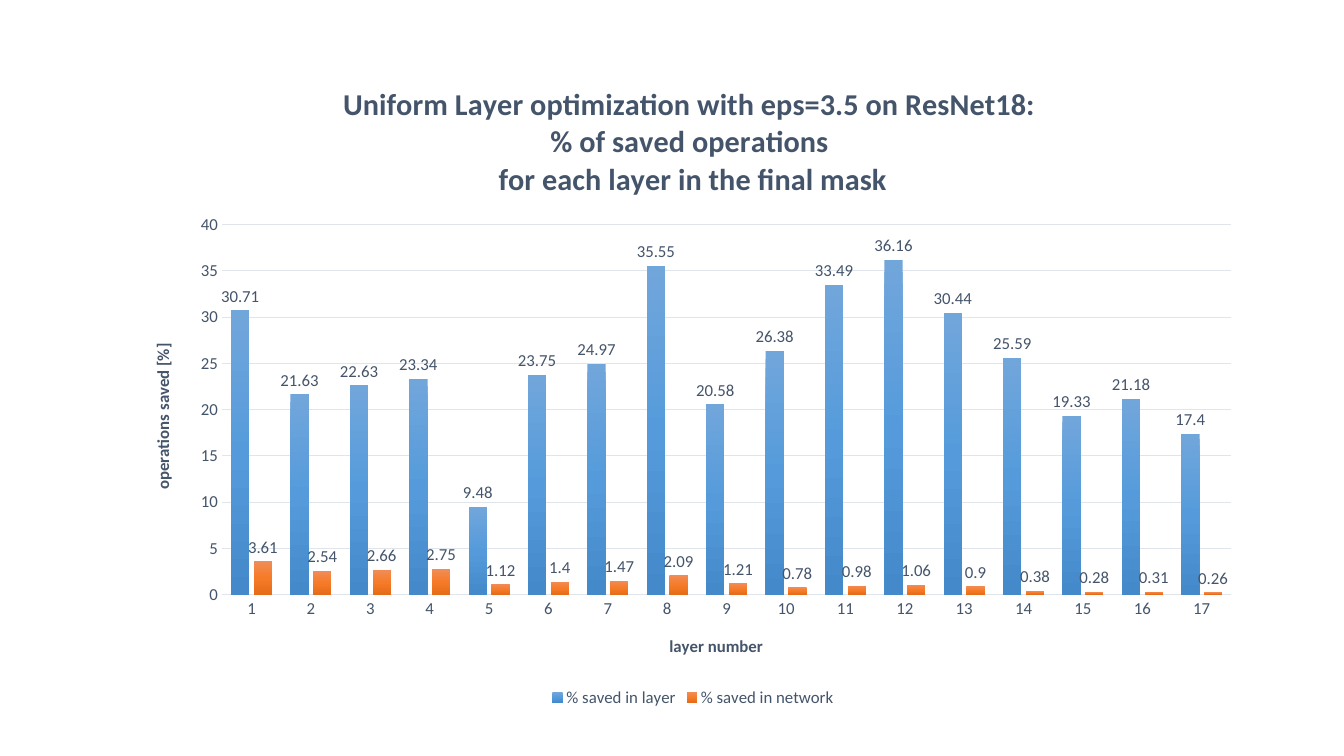
"""Build a slide with a column chart of the operations saved per layer."""
from copy import deepcopy

from pptx import Presentation
from pptx import util as u
from pptx.chart.data import CategoryChartData
from pptx.dml.color import RGBColor
from pptx.enum import chart as ch
from pptx.oxml import parse_xml
from pptx.oxml.ns import nsdecls, qn

LAYER = [30.71, 21.63, 22.63, 23.34, 9.48, 23.75, 24.97, 35.55, 20.58,
         26.38, 33.49, 36.16, 30.44, 25.59, 19.33, 21.18, 17.4]
NET = [3.61, 2.54, 2.66, 2.75, 1.12, 1.4, 1.47, 2.09, 1.21,
       0.78, 0.98, 1.06, 0.9, 0.38, 0.28, 0.31, 0.26]
BARS = {
    "% saved in layer": (LAYER, ["71A6DB", "559BDB", "448ACA"]),
    "% saved in network": (NET, ["F18C57", "F67B28", "E56C19"]),
}
TITLE = ["Uniform Layer optimization with eps=3.5 on ResNet18: ",
         "% of saved operations ",
         "for each layer in the final mask"]


def rgb(code):
    return RGBColor.from_string(code)


def style(font, size=12, bold=False, color="44546A", face="Calibri"):
    font.size, font.bold, font.name = u.Pt(size), bold, face
    font.color.rgb = rgb(color)


def write(frame, *lines, **form):
    for n, line in enumerate(lines):
        para = frame.add_paragraph() if n else frame.paragraphs[0]
        run = para.add_run()
        run.text = line
        style(run.font, **form)


class Deck:
    """Holds the style and the current slide."""

    grid = "E0E5EB"

    def __init__(self):
        self.prs = Presentation()
        self.prs.slide_width, self.prs.slide_height = u.Cm(33.87), u.Cm(19.05)
        self.slide = self.prs.slides.add_slide(self.prs.slide_layouts[6])

    def rule(self, line):
        line.color.rgb = rgb(self.grid)
        line.width = u.Pt(0.75)

    def chart(self, bars, title, left, top, width, height):
        data = CategoryChartData()
        data.categories = [str(n + 1) for n in range(len(LAYER))]
        for name, (vals, _) in bars.items():
            data.add_series(name, vals)
        chart = self.slide.shapes.add_chart(
            ch.XL_CHART_TYPE.COLUMN_CLUSTERED, u.Cm(left), u.Cm(top),
            u.Cm(width), u.Cm(height), data).chart
        style(chart.font)
        write(chart.chart_title.text_frame, *title, size=21.6, bold=True)
        chart.chart_title.include_in_layout = False
        chart.has_legend = True
        chart.legend.position = ch.XL_LEGEND_POSITION.BOTTOM
        chart.legend.include_in_layout = False
        style(chart.legend.font)
        plot = chart.plots[0]
        plot.gap_width, plot.overlap, plot.vary_by_categories = 100, -24, False
        for ser, (_, tones) in zip(plot.series, bars.values()):
            self.paint(ser, tones)
            self.label(ser.data_labels)
        return chart

    def paint(self, ser, tones):
        fill = ser.format.fill
        fill.gradient()
        fill.gradient_angle = 270
        stops = ser._element.find(".//" + qn("a:gsLst"))
        stops.append(deepcopy(stops[0]))
        for n, (stop, tone) in enumerate(zip(fill.gradient_stops, tones)):
            stop.position = n / 2
            stop.color.rgb = rgb(tone)
        ser.invert_if_negative = False

    def label(self, labels):
        labels.show_value = True
        labels.position = ch.XL_LABEL_POSITION.OUTSIDE_END
        style(labels.font)

    def axis(self, axis, title):
        axis.major_tick_mark = axis.minor_tick_mark = ch.XL_TICK_MARK.NONE
        style(axis.tick_labels.font)
        write(axis.axis_title.text_frame, title, bold=True)

    def place(self, chart, **box):
        area = chart._chartSpace.find(".//" + qn("c:plotArea"))
        old = area.find(qn("c:layout"))
        if old is not None:
            area.remove(old)
        modes = '<c:xMode val="edge"/><c:yMode val="edge"/>'
        sizes = "".join(f'<c:{k} val="{v}"/>' for k, v in box.items())
        area.insert(0, parse_xml(
            f'<c:layout {nsdecls("c")}><c:manualLayout>'
            f'<c:layoutTarget val="inner"/>{modes}{sizes}'
            '</c:manualLayout></c:layout>'))


def main():
    deck = Deck()
    chart = deck.chart(BARS, TITLE, 3.33, 1.57, 28.27, 16.36)
    cat, val = chart.category_axis, chart.value_axis
    deck.axis(cat, "layer number")
    deck.axis(val, "operations saved [%]")
    deck.rule(cat.format.line)
    deck.rule(val.major_gridlines.format.line)
    val.format.line.fill.background()
    val.minimum_scale, val.maximum_scale, val.major_unit = 0, 40, 5
    deck.place(chart, x=0.08, y=0.25, w=0.9, h=0.57)
    deck.prs.save("out.pptx")


if __name__ == "__main__":
    main()
